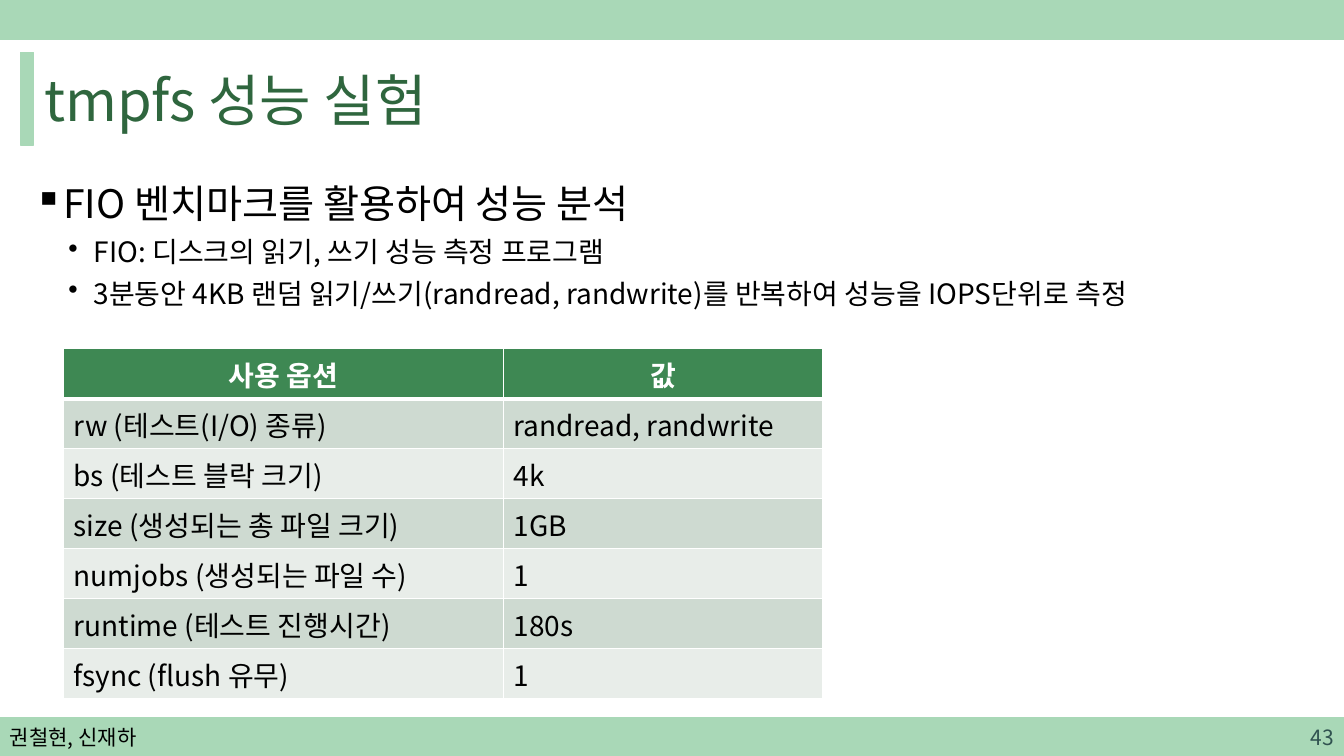
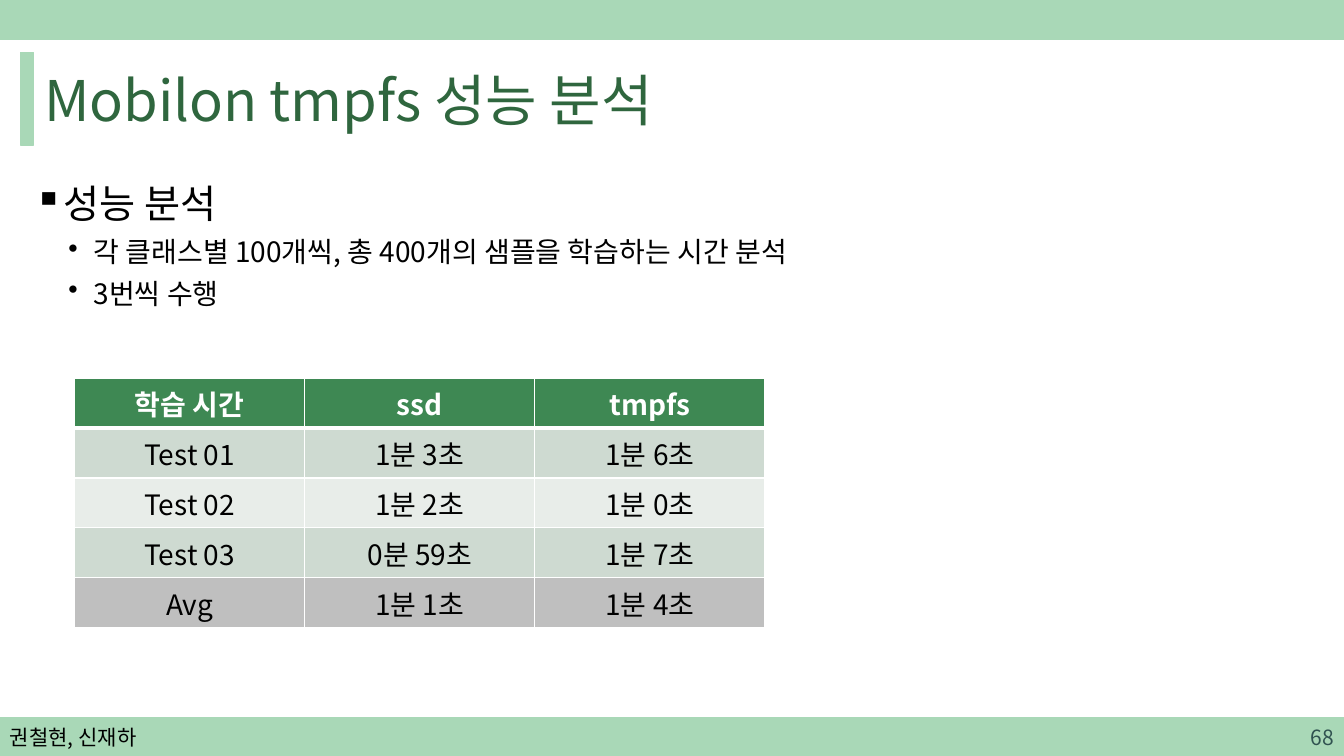
from lxml.etree import SubElement
from pptx import Presentation
from pptx.dml.color import RGBColor
from pptx.enum.shapes import MSO_SHAPE
from pptx.enum.text import MSO_ANCHOR, PP_ALIGN
from pptx.oxml.ns import qn
from pptx.util import Inches, Pt

FONT = "Noto Sans CJK KR"
MINT = RGBColor(0xA9, 0xD8, 0xB7)
PINE = RGBColor(0x2F, 0x66, 0x3E)
TEAL = RGBColor(0x30, 0x52, 0x50)
LEAF = RGBColor(0x3E, 0x88, 0x53)
SAGE = RGBColor(0xCE, 0xDA, 0xD1)
MIST = RGBColor(0xE8, 0xED, 0xE9)
GREY = RGBColor(0xBF, 0xBF, 0xBF)
BLACK = RGBColor(0, 0, 0)
WHITE = RGBColor(0xFF, 0xFF, 0xFF)

# The grid has square cells, ten to the inch.
WIDE, HIGH = 133.33, 75
BAND = 3.9
FOOT = HIGH - BAND + 0.1
ROW = 4.96

TITLE = {"size": Pt(40), "color": PINE}
HEAD = {"size": Pt(28), "color": BLACK}
ITEM = {"size": Pt(20), "color": BLACK}
TOP = {"size": Pt(20), "color": WHITE, "bold": True}
NAMES = {"size": Pt(15), "color": BLACK}
PAGE = {"size": Pt(15), "color": TEAL}


def cells(count):
    return Inches(count / 10)


class Deck:
    """Holds the shared style and the current slide."""

    def __init__(self):
        self.file = Presentation()
        self.file.slide_width = cells(WIDE)
        self.file.slide_height = cells(HIGH)

    def start(self, title, page):
        """Adds a slide with its bands, title and footer."""
        self.slide = self.file.slides.add_slide(self.file.slide_layouts[6])
        self.bar(0, 0, WIDE, BAND)
        self.bar(0, FOOT, WIDE, BAND)
        self.bar(2.05, 5.2, 1.3, 9.2)
        self.label(title, TITLE, 3.4, 5.2, 127.9, 9.2)
        self.label("권철현, 신재하", NAMES, 0, FOOT, 30, BAND)
        self.label(page, PAGE, WIDE - 30, FOOT, 30, BAND, PP_ALIGN.RIGHT)

    def bar(self, *place):
        shape = self.slide.shapes.add_shape(MSO_SHAPE.RECTANGLE, *map(cells, place))
        shape.shadow.inherit = False
        shape.fill.solid()
        shape.fill.fore_color.rgb = MINT
        shape.line.color.rgb = MINT
        shape.line.width = Pt(1)

    def box(self, *place):
        frame = self.slide.shapes.add_textbox(*map(cells, place)).text_frame
        frame.word_wrap = True
        return frame

    def style(self, para, text, look, align=PP_ALIGN.LEFT):
        """Adds a run of text with the given format values."""
        para.alignment = align
        run = para.add_run()
        run.text = text
        run.font.name = FONT
        for key, value in look.items():
            if key == "color":
                run.font.color.rgb = value
            else:
                setattr(run.font, key, value)
        SubElement(run._r.get_or_add_rPr(), qn("a:ea"), typeface=FONT)

    def label(self, text, look, left, top, width, height, align=PP_ALIGN.LEFT):
        frame = self.box(left, top, width, height)
        frame.vertical_anchor = MSO_ANCHOR.MIDDLE
        self.style(frame.paragraphs[0], text, look, align)

    def points(self, head, *items):
        """Puts a heading above a second level of items."""
        frame = self.box(2.4, 16.2, 128.9, 53.1)
        for index, text in enumerate((head, *items)):
            level = min(index, 1)
            para = frame.add_paragraph() if index else frame.paragraphs[0]
            para.level = level
            para.line_spacing = 1.24
            self.style(para, text, (HEAD, ITEM)[level])
            props = para._p.get_or_add_pPr()
            props.set("marL", str(cells((2.5, 5.9)[level])))
            props.set("indent", str(cells(-2.5)))
            SubElement(props, qn("a:buChar"), char="▪•"[level])

    def edge(self, cell, row):
        """Draws white borders, thicker between header and body."""
        props = cell._tc.get_or_add_tcPr()
        for side in "LRTB":
            thick = (row, side) in ((0, "B"), (1, "T"))
            line = SubElement(props, qn(f"a:ln{side}"), w=str(Pt(3 if thick else 1)))
            fill = SubElement(line, qn("a:solidFill"))
            SubElement(fill, qn("a:srgbClr"), val=str(WHITE))

    def table(self, left, top, widths, rows, align, total=False):
        """Draws a table; total greys the last row."""
        grid = self.slide.shapes.add_table(
            len(rows), len(widths), cells(left), cells(top),
            cells(sum(widths)), cells(ROW * len(rows))).table
        for column, width in zip(grid.columns, widths):
            column.width = cells(width)
        for r, texts in enumerate(rows):
            grid.rows[r].height = cells(ROW)
            tint = SAGE if r % 2 else MIST
            if r == 0:
                tint = LEAF
            elif total and r == len(rows) - 1:
                tint = GREY
            for c, text in enumerate(texts):
                cell = grid.cell(r, c)
                self.edge(cell, r)
                cell.fill.solid()
                cell.fill.fore_color.rgb = tint
                self.style(cell.text_frame.paragraphs[0], text,
                           ITEM if r else TOP, align if r else PP_ALIGN.CENTER)


def main():
    deck = Deck()

    deck.start("tmpfs 성능 실험", "43")
    deck.points(
        "FIO 벤치마크를 활용하여 성능 분석",
        "FIO: 디스크의 읽기, 쓰기 성능 측정 프로그램",
        "3분동안 4KB 랜덤 읽기/쓰기(randread, randwrite)를 반복하여 성능을 IOPS단위로 측정")
    deck.table(6.3, 34.6, (43.65, 31.7), (
        ("사용 옵션", "값"),
        ("rw (테스트(I/O) 종류)", "randread, randwrite"),
        ("bs (테스트 블락 크기)", "4k"),
        ("size (생성되는 총 파일 크기)", "1GB"),
        ("numjobs (생성되는 파일 수)", "1"),
        ("runtime (테스트 진행시간)", "180s"),
        ("fsync (flush 유무)", "1"),
    ), PP_ALIGN.LEFT)

    deck.start("Mobilon tmpfs 성능 분석", "68")
    deck.points(
        "성능 분석",
        "각 클래스별 100개씩, 총 400개의 샘플을 학습하는 시간 분석",
        "3번씩 수행")
    deck.table(7.4, 37.5, (22.83,) * 3, (
        ("학습 시간", "ssd", "tmpfs"),
        ("Test 01", "1분 3초", "1분 6초"),
        ("Test 02", "1분 2초", "1분 0초"),
        ("Test 03", "0분 59초", "1분 7초"),
        ("Avg", "1분 1초", "1분 4초"),
    ), PP_ALIGN.CENTER, total=True)

    deck.file.save("out.pptx")


if __name__ == "__main__":
    main()
